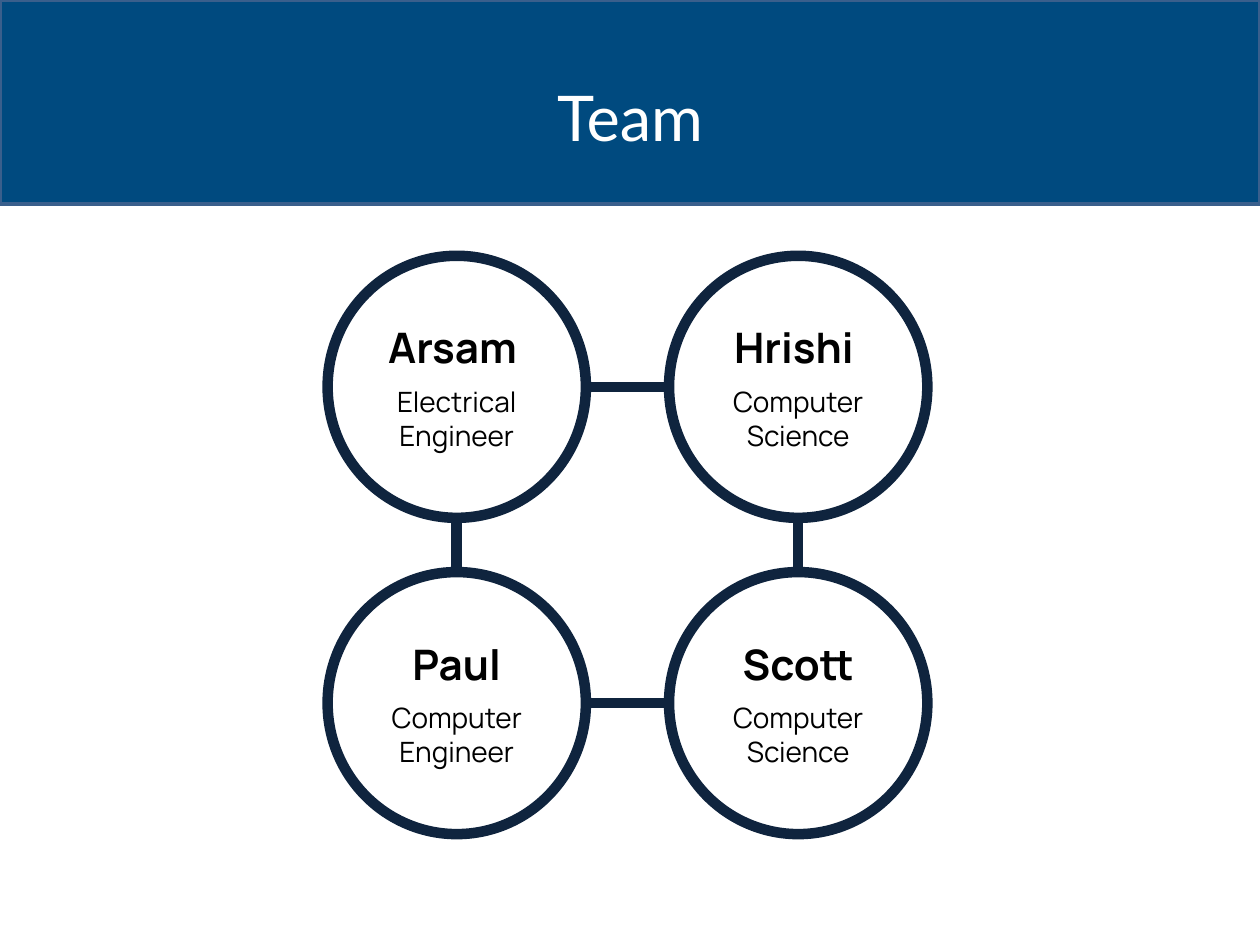
from lxml import etree
from pptx import Presentation
from pptx.dml.color import RGBColor
from pptx.enum import shapes, text
from pptx.oxml import ns
from pptx.util import Inches, Pt

TITLE = "Team"
TEAM = [  # rows of (name, role lines)
    [("Arsam ", ("Electrical", "Engineer")), ("Hrishi ", ("Computer", "Science"))],
    [("Paul", ("Computer", "Engineer")), ("Scott", ("Computer", "Science"))],
]
NAVY, WHITE, BLACK = "0F243E", "FFFFFF", "000000"
LEFT, TOP = 2.6, 2.03
WIDE, HIGH = 2.05, 2.08
STEP_X, STEP_Y = 2.71, 2.51


def rgb(code):
    return RGBColor.from_string(code)


def stroke(line, code, size):
    line.color.rgb = rgb(code)
    line.width = Pt(size)


def shape(kind, box, fill, edge, size):
    item = slide.shapes.add_shape(kind, *map(Inches, box))
    item.shadow.inherit = False
    item.fill.solid()
    item.fill.fore_color.rgb = rgb(fill)
    stroke(item.line, edge, size)
    return item


def write(para, words, font, size, code, bold=False):
    para.alignment = text.PP_ALIGN.CENTER
    run = para.add_run()
    run.text = words
    run.font.name = font
    run.font.size = Pt(size)
    run.font.bold = bold
    run.font.color.rgb = rgb(code)


def member(x, y, name, role):
    disc = shape(shapes.MSO_SHAPE.OVAL, (x, y, WIDE, HIGH), WHITE, NAVY, 6)
    frame = disc.text_frame
    frame.vertical_anchor = text.MSO_ANCHOR.MIDDLE
    head = frame.paragraphs[0]
    write(head, name, "Manrope", 24, BLACK, True)
    head.space_after = Pt(7)
    for words in role:
        write(frame.add_paragraph(), words, "Manrope", 16, BLACK)
    return disc


def link(first, start, second, end):
    """Join two discs at their sites: 0 top, 2 left, 4 bottom, 6 right."""
    sites = {0: (0.5, 0), 2: (0, 0.5), 4: (0.5, 1), 6: (1, 0.5)}
    ends = []
    for disc, site in ((first, start), (second, end)):
        u, v = sites[site]
        ends += [int(disc.left + u * disc.width), int(disc.top + v * disc.height)]
    line = slide.shapes.add_connector(shapes.MSO_CONNECTOR.STRAIGHT, *ends)
    stroke(line.line, NAVY, 6)
    etree.SubElement(line._element.spPr, ns.qn("a:effectLst"))


deck = Presentation()
deck.slide_width, deck.slide_height = Inches(10), Inches(7.5)
slide = deck.slides.add_slide(deck.slide_layouts[5])

title = slide.shapes.title
title.left, title.top, title.width, title.height = map(Inches, (0.5, 0.3, 9, 1.25))
title.text_frame.vertical_anchor = text.MSO_ANCHOR.MIDDLE
write(title.text_frame.paragraphs[0], TITLE, "Lato", 36, WHITE)

band = shape(shapes.MSO_SHAPE.RECTANGLE, (0, 0, 10, 1.62), "004A7F", "3A5F8C", 2)
title._element.addprevious(band._element)

discs = [
    [member(LEFT + col * STEP_X, TOP + row * STEP_Y, *person)
     for col, person in enumerate(people)]
    for row, people in enumerate(TEAM)
]
for left, right in discs:
    link(left, 6, right, 2)
for upper, lower in zip(*discs):
    link(upper, 4, lower, 0)

deck.save("out.pptx")
